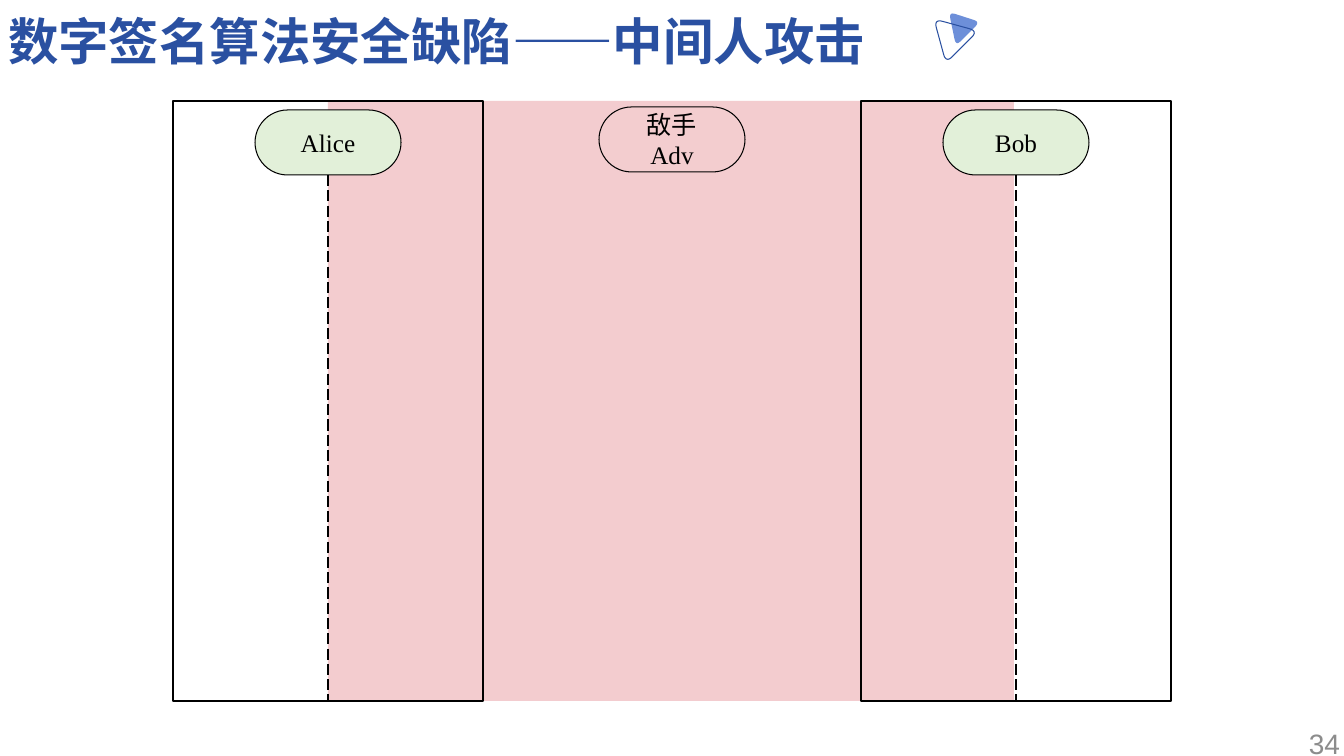
from lxml import etree
from pptx import Presentation
from pptx.dml.color import RGBColor
from pptx.enum.dml import MSO_LINE_DASH_STYLE as Dash
from pptx.enum.shapes import MSO_CONNECTOR as Connector, MSO_SHAPE as Shape
from pptx.enum.text import MSO_ANCHOR as Anchor, PP_ALIGN as Align
from pptx.oxml.ns import qn
from pptx.util import Pt

PX = 914400 / 100.8
COLORS = {
    "black": "000000",
    "blue": "2A50A1",
    "light blue": "6D8FD9",
    "gray": "8C8C8C",
    "pink": "F0C0C3",
    "pale pink": "F3CDCF",
    "green": "E2F0D9",
}


def emu(px):
    return round(px * PX)


def color(name):
    return RGBColor.from_string(COLORS[name])


def write_text(frame, text, font="Times New Roman", size=18, ink="black",
               bold=False, align=Align.CENTER, anchor=Anchor.MIDDLE):
    frame.vertical_anchor = anchor
    frame.text = text
    for paragraph in frame.paragraphs:
        paragraph.alignment = align
        for run in paragraph.runs:
            run.font.name = font
            run.font.size = Pt(size)
            run.font.bold = bold
            run.font.color.rgb = color(ink)


class SlideBuilder:
    def __init__(self, slide):
        self.slide = slide
        self.shapes = slide.shapes

    def style(self, shape, fill=None, line=None, width=0.75, opacity=None):
        shape.shadow.inherit = False
        if fill:
            shape.fill.solid()
            shape.fill.fore_color.rgb = color(fill)
        else:
            shape.fill.background()
        if opacity:
            tint = shape.fill._xPr.find(".//" + qn("a:srgbClr"))
            etree.SubElement(tint, qn("a:alpha"), val=str(opacity * 1000))
        if line:
            shape.line.color.rgb = color(line)
            shape.line.width = Pt(width)
        else:
            shape.line.fill.background()

    def box(self, x, y, w, h, kind=Shape.RECTANGLE, **look):
        shape = self.shapes.add_shape(kind, *map(emu, (x, y, w, h)))
        self.style(shape, **look)
        return shape

    def pill(self, center, y, text, fill):
        width, height = 146, 65
        shape = self.box(center - width // 2, y, width, height,
                         Shape.ROUNDED_RECTANGLE, fill=fill, line="black")
        shape.adjustments[0] = 0.5
        shape.text_frame.word_wrap = True
        write_text(shape.text_frame, text)

    def lifeline(self, x, top, bottom):
        line = self.shapes.add_connector(
            Connector.STRAIGHT, *map(emu, (x, top, x, bottom)))
        line.line.color.rgb = color("black")
        line.line.width = Pt(1)
        line.line.dash_style = Dash.LONG_DASH
        properties = line._element.spPr
        etree.SubElement(properties, qn("a:effectLst"))

    def label(self, x, y, w, h, text, inset=None, **format):
        shape = self.shapes.add_textbox(*map(emu, (x, y, w, h)))
        frame = shape.text_frame
        frame.word_wrap = True
        if inset is not None:
            frame.margin_left = frame.margin_right = emu(inset)
            frame.margin_top = frame.margin_bottom = emu(inset)
        write_text(frame, text, **format)

    def rounded_triangle(self, corners, cut=0.2, steps=8, **look):
        """Replace each corner by a quadratic curve between its two sides."""
        points = []
        for i, corner in enumerate(corners):
            before, after = corners[i - 1], corners[(i + 1) % 3]
            for step in range(steps + 1):
                t = step / steps
                points.append(tuple(
                    emu(c + cut * ((1 - t) ** 2 * (b - c) + t ** 2 * (a - c)))
                    for b, c, a in zip(before, corner, after)))
        builder = self.shapes.build_freeform(*points[0], scale=1.0)
        builder.add_line_segments(points[1:], close=True)
        self.style(builder.convert_to_shape(), **look)


def main():
    presentation = Presentation()
    presentation.slide_width = emu(1344)
    presentation.slide_height = emu(756)
    page = SlideBuilder(presentation.slides.add_slide(presentation.slide_layouts[6]))

    # Area controlled by the adversary, and the two parties' frames
    alice, adversary, bob = 328, 672, 1016
    top, height = 101, 600
    page.box(alice, top, 686, height, fill="pink", opacity=80)
    for center in (alice, bob):
        page.box(center - 155, top, 310, height, line="black", width=1.5)

    # Parties and their lifelines
    page.pill(adversary, 107, "敌手\nAdv", "pale pink")
    for center, name in ((alice, "Alice"), (bob, "Bob")):
        page.lifeline(center, 175, top + height)
        page.pill(center, 110, name, "green")

    # Page number and title
    page.label(1048, 723, 302, 40, "34", font="Arial", size=20, ink="gray",
               align=Align.RIGHT)
    page.label(8, 10, 920, 50, "数字签名算法安全缺陷——中间人攻击",
               inset=0, font="Arial", size=36, ink="blue",
               bold=True, align=Align.LEFT, anchor=Anchor.TOP)

    # Title ornament
    page.rounded_triangle([(980, 22), (956, 46), (949, 12)], fill="light blue")
    page.rounded_triangle([(978, 31), (946, 63), (934, 19)], line="blue")

    presentation.save("out.pptx")


if __name__ == "__main__":
    main()
